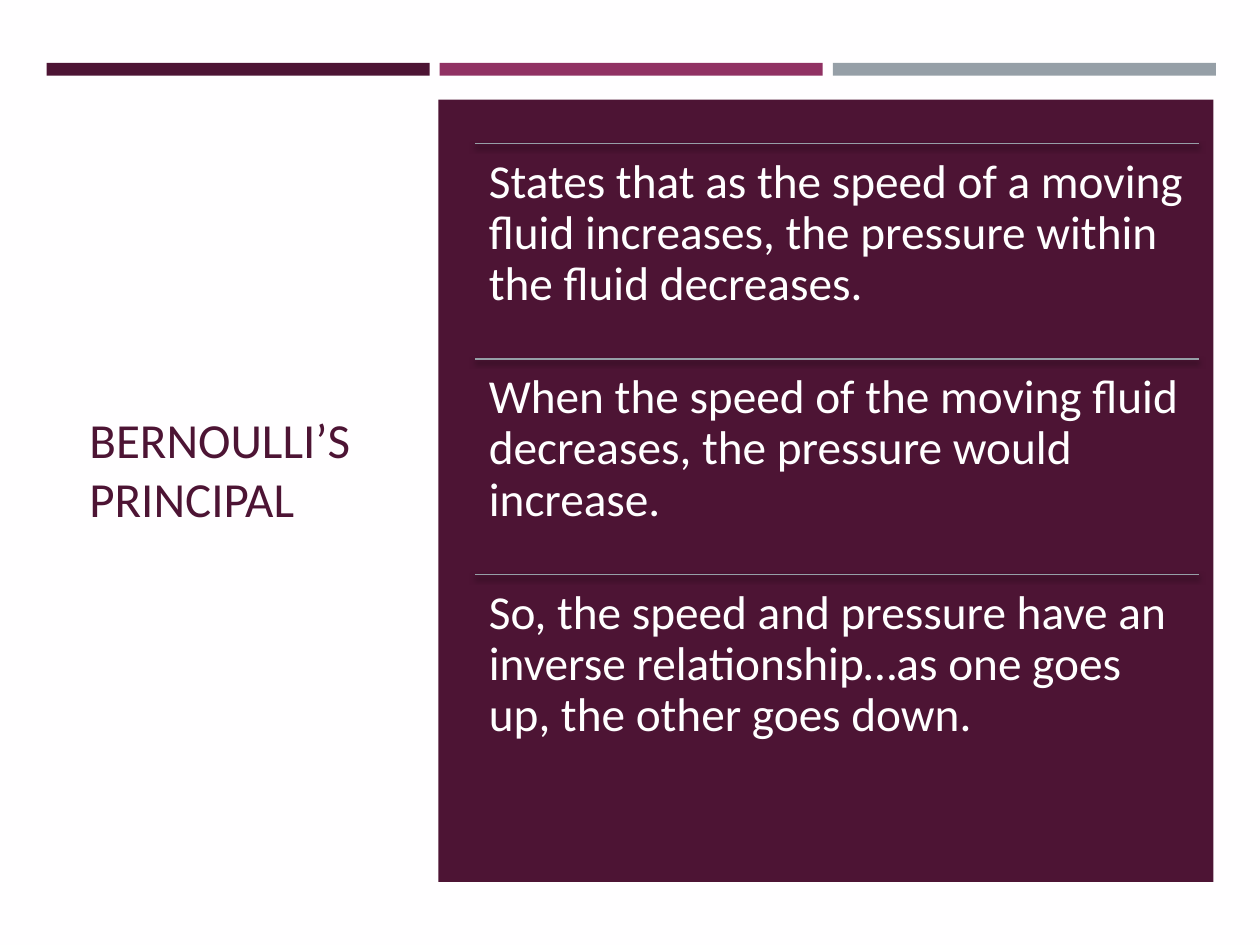
from pptx import Presentation
from pptx import util as u
from pptx.dml.color import RGBColor
from pptx.enum import shapes, text
from pptx.oxml import parse_xml

PLUM, ROSE, GRAY, WHITE = "4D1434", "903163", "969FA7", "FFFFFF"
PAPER = "FFFEFF"
SHADOW = """<a:effectLst xmlns:a="http://schemas.openxmlformats.org/drawingml/2006/main">
  <a:outerShdw blurRad="38100" dist="25400" dir="5400000" rotWithShape="0">
    <a:srgbClr val="000000"><a:alpha val="55000"/></a:srgbClr>
  </a:outerShdw>
</a:effectLst>"""
POINTS = [
    "States that as the speed of a moving fluid increases, the pressure within the fluid decreases.",
    "When the speed of the moving fluid decreases, the pressure would increase.",
    "So, the speed and pressure have an inverse relationship…as one goes up, the other goes down.",
]


def paint(color, value):
    color.rgb = RGBColor.from_string(value)


def place(*box):
    return [u.Inches(n) for n in box]


class Page:
    font = "Calibri"

    def __init__(self, deck):
        self.slide = deck.slides.add_slide(deck.slide_layouts[5])
        fill = self.slide.background.fill
        fill.solid()
        paint(fill.fore_color, PAPER)

    def label(self, shape, words, size, color, anchor):
        """Put styled, left-aligned words in a shape and return its text frame."""
        frame = shape.text_frame
        frame.word_wrap = True
        frame.auto_size = text.MSO_AUTO_SIZE.NONE
        frame.vertical_anchor = anchor
        frame.text = words
        para = frame.paragraphs[0]
        para.alignment = text.PP_ALIGN.LEFT
        para.font.name, para.font.size = self.font, u.Pt(size)
        paint(para.font.color, color)
        return frame

    def title(self, words, *box):
        shape = self.slide.shapes.title
        shape.left, shape.top, shape.width, shape.height = place(*box)
        self.label(shape, words, 28, PLUM, text.MSO_ANCHOR.MIDDLE)

    def block(self, color, *box):
        shape = self.slide.shapes.add_shape(shapes.MSO_SHAPE.RECTANGLE, *place(*box))
        shape.shadow.inherit = False
        shape.fill.solid()
        paint(shape.fill.fore_color, color)
        shape.line.fill.background()

    def rule(self, left, top, width):
        line = self.slide.shapes.add_connector(
            shapes.MSO_CONNECTOR.STRAIGHT, *place(left, top, left + width, top))
        line.line.width = u.Pt(1)
        paint(line.line.color, GRAY)
        line._element.spPr.append(parse_xml(SHADOW))

    def point(self, words, *box):
        shape = self.slide.shapes.add_textbox(*place(*box))
        frame = self.label(shape, words, 27, WHITE, text.MSO_ANCHOR.TOP)
        frame.margin_left = frame.margin_right = u.Inches(0.11)
        frame.margin_top = frame.margin_bottom = u.Inches(0.11)
        frame.paragraphs[0].line_spacing = 0.9


def main():
    deck = Presentation()
    deck.slide_width, deck.slide_height = place(10, 7.5)
    page = Page(deck)
    page.title("BERNOULLI’S PRINCIPAL", 0.61, 1.14, 2.5, 5.15)
    bar, gap = 3.04, 0.08
    for i, color in enumerate([PLUM, ROSE, GRAY]):
        page.block(color, 0.37 + i * (bar + gap), 0.5, bar, 0.1)
    page.block(PLUM, 3.48, 0.79, 6.15, 6.21)

    left, top, width, height = 3.77, 1.14, 5.75, 1.71
    for i, words in enumerate(POINTS):
        y = top + i * height
        page.rule(left, y, width)
        page.point(words, left, y, width, height)
    deck.save("out.pptx")


if __name__ == "__main__":
    main()
